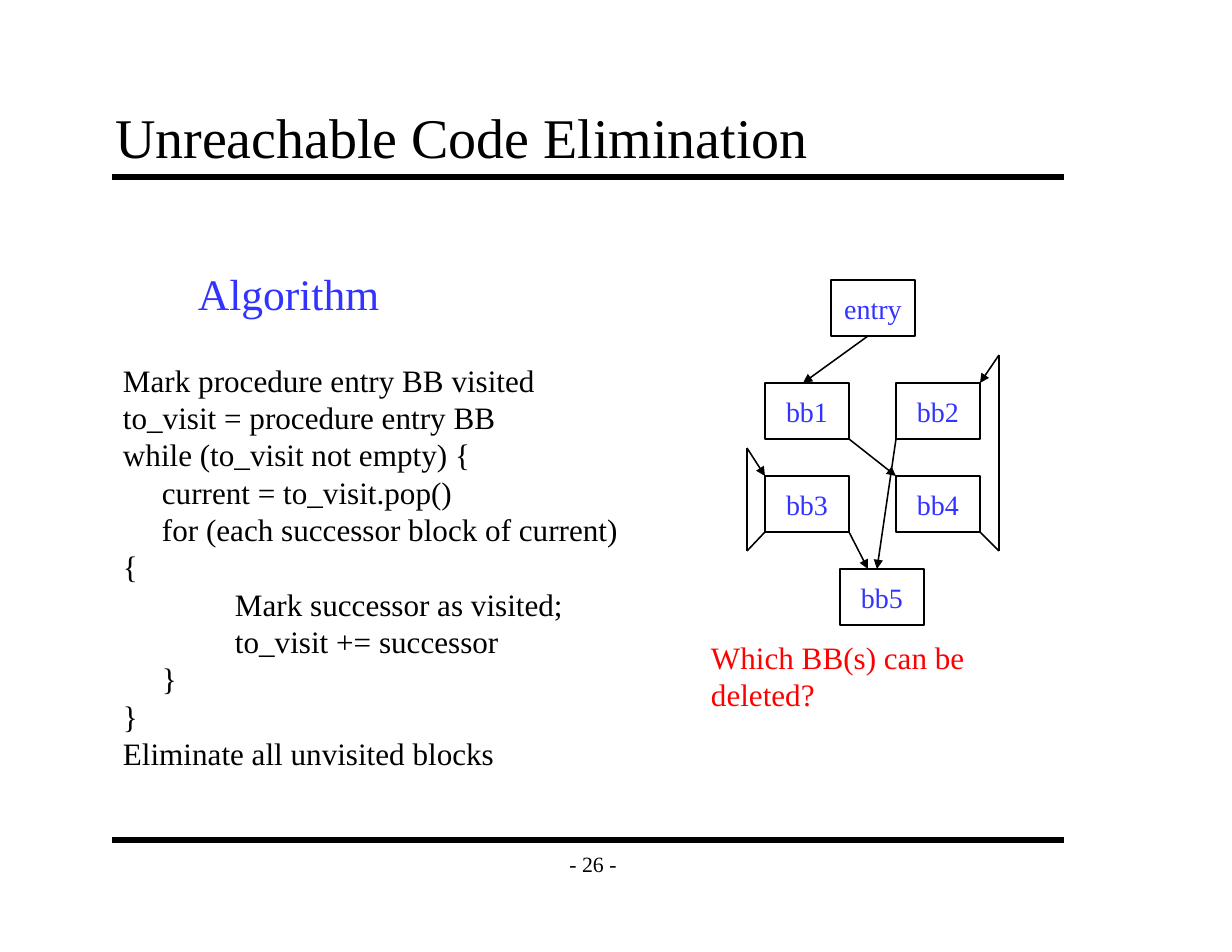
from itertools import pairwise
from pptx import Presentation
from pptx.dml.color import RGBColor
from pptx.enum.shapes import MSO_CONNECTOR, MSO_SHAPE
from pptx.enum.text import MSO_ANCHOR, PP_ALIGN
from pptx.oxml.ns import qn
from pptx.util import Pt
from lxml.etree import SubElement

PX = 914400 // 112
THEME = {
    "font": "Times New Roman", "lead": 1.2,
    "black": "000000", "blue": "3333FF", "red": "FF0000",
    "title": 36, "head": 28, "body": 20, "node": 18, "foot": 14,
    "rule": 4, "edge": 1,
}

# Each code line: first-line indent in pixels, then the words.
STEP, DEEP = 39, 112
CODE = [
    (0, "Mark procedure entry BB visited"),
    (0, "to_visit = procedure entry BB"),
    (0, "while (to_visit not empty) {"),
    (STEP, "current = to_visit.pop()"),
    (STEP, "for (each successor block of current) {"),
    (DEEP, "Mark successor as visited;"),
    (DEEP, "to_visit += successor"),
    (STEP, "}"),
    (0, "}"),
    (0, "Eliminate all unvisited blocks"),
]

BAR = {"anchor": MSO_ANCHOR.BOTTOM, "pad": (12, 7)}
FOOT = {"anchor": MSO_ANCHOR.MIDDLE, "align": PP_ALIGN.CENTER, "pad": (12, 7)}
# Words, frame, size, colour, further format
TEXTS = [
    ([(0, "- 26 -")], (551, 840, 84, 47), "foot", "black", FOOT),
    ([(0, "Unreachable Code Elimination")], (103, 102, 952, 75),
     "title", "black", BAR),
    (CODE, (112, 355, 537, 384), "body", "black", {}),
    ([(0, "Which BB(s) can be deleted?")], (700, 632, 382, 48),
     "body", "red", {}),
    ([(0, "Algorithm")], (187, 261, 204, 64), "head", "blue", {}),
]

RULES = [177, 840]
WIDE, HIGH = 84, 56
LEFT, RIGHT = 765, 896
ROWS = [280, 383, 476, 569]
NODES = {
    "entry": (831, ROWS[0]),
    "bb1": (LEFT, ROWS[1]), "bb2": (RIGHT, ROWS[1]),
    "bb3": (LEFT, ROWS[2]), "bb4": (RIGHT, ROWS[2]),
    "bb5": (840, ROWS[3]),
}


def port(name, across, down):
    """Give a point on a node, as shares of its width and height."""
    x, y = NODES[name]
    return x + round(across * WIDE), y + round(down * HIGH)


# Chains of points; the last stretch of each bears the arrowhead.
CHAINS = [
    [port("entry", 0.44, 1), port("bb1", 0.45, 0)],
    [port("bb4", 1, 1), (999, 551), (999, 355), port("bb2", 1, 0)],
    [port("bb1", 1, 1), port("bb4", 0, 0)],
    [port("bb2", 0, 1), port("bb5", 0.44, 0)],
    [port("bb3", 1, 1), port("bb5", 0.33, 0)],
    [port("bb3", 0, 1), (747, 551), (747, 448), port("bb3", 0, 0)],
]


def emu(*sizes):
    """Turn pixels into EMU."""
    return [size * PX for size in sizes]


def put(thing, values):
    """Set attributes from a dict."""
    for name, value in values.items():
        setattr(thing, name, value)


def write(shape, lines, size, color, anchor=MSO_ANCHOR.TOP,
          align=PP_ALIGN.LEFT, pad=(11, 6), wrap=True):
    """Fill a shape with formatted lines."""
    side, edge = emu(*pad)
    frame = shape.text_frame
    put(frame, {"word_wrap": wrap, "vertical_anchor": anchor,
                "margin_left": side, "margin_right": side,
                "margin_top": edge, "margin_bottom": edge})
    points = THEME[size]
    for at, (indent, words) in enumerate(lines):
        para = frame.add_paragraph() if at else frame.paragraphs[0]
        put(para, {"alignment": align,
                   "line_spacing": Pt(points * THEME["lead"])})
        if indent:
            props = para._p.get_or_add_pPr()
            props.set("marL", "0")
            props.set("indent", str(indent * PX))
        run = para.add_run()
        run.text = words
        put(run.font, {"name": THEME["font"], "size": Pt(points)})
        run.font.color.rgb = RGBColor.from_string(THEME[color])


def ink(line, weight):
    """Make a line black with the named weight."""
    line.color.rgb = RGBColor.from_string(THEME["black"])
    line.width = Pt(THEME[weight])


def draw(shapes, start, end, weight, head=False):
    """Join two points, with an arrowhead if asked."""
    link = shapes.add_connector(MSO_CONNECTOR.STRAIGHT, *emu(*start, *end))
    ink(link.line, weight)
    if head:
        tip = SubElement(link.line._get_or_add_ln(), qn("a:tailEnd"))
        tip.set("type", "triangle")
    SubElement(link._element.spPr, qn("a:effectLst"))


def node(shapes, name, spot):
    """Add one labelled block of the flow graph."""
    box = shapes.add_shape(MSO_SHAPE.RECTANGLE, *emu(*spot, WIDE, HIGH))
    box.shadow.inherit = False
    box.fill.background()
    ink(box.line, "edge")
    write(box, [(0, name)], "node", "blue", MSO_ANCHOR.MIDDLE,
          PP_ALIGN.CENTER, wrap=False)


def build():
    """Build and save the slide."""
    deck = Presentation()
    put(deck, dict(zip(("slide_width", "slide_height"), emu(1232, 952))))
    shapes = deck.slides.add_slide(deck.slide_layouts[6]).shapes
    for y in RULES:
        draw(shapes, (112, y), (1064, y), "rule")
    for lines, frame, size, color, form in TEXTS:
        write(shapes.add_textbox(*emu(*frame)), lines, size, color, **form)
    for name, spot in NODES.items():
        node(shapes, name, spot)
    for chain in CHAINS:
        for start, end in pairwise(chain):
            draw(shapes, start, end, "edge", end == chain[-1])
    deck.save("out.pptx")


build()
